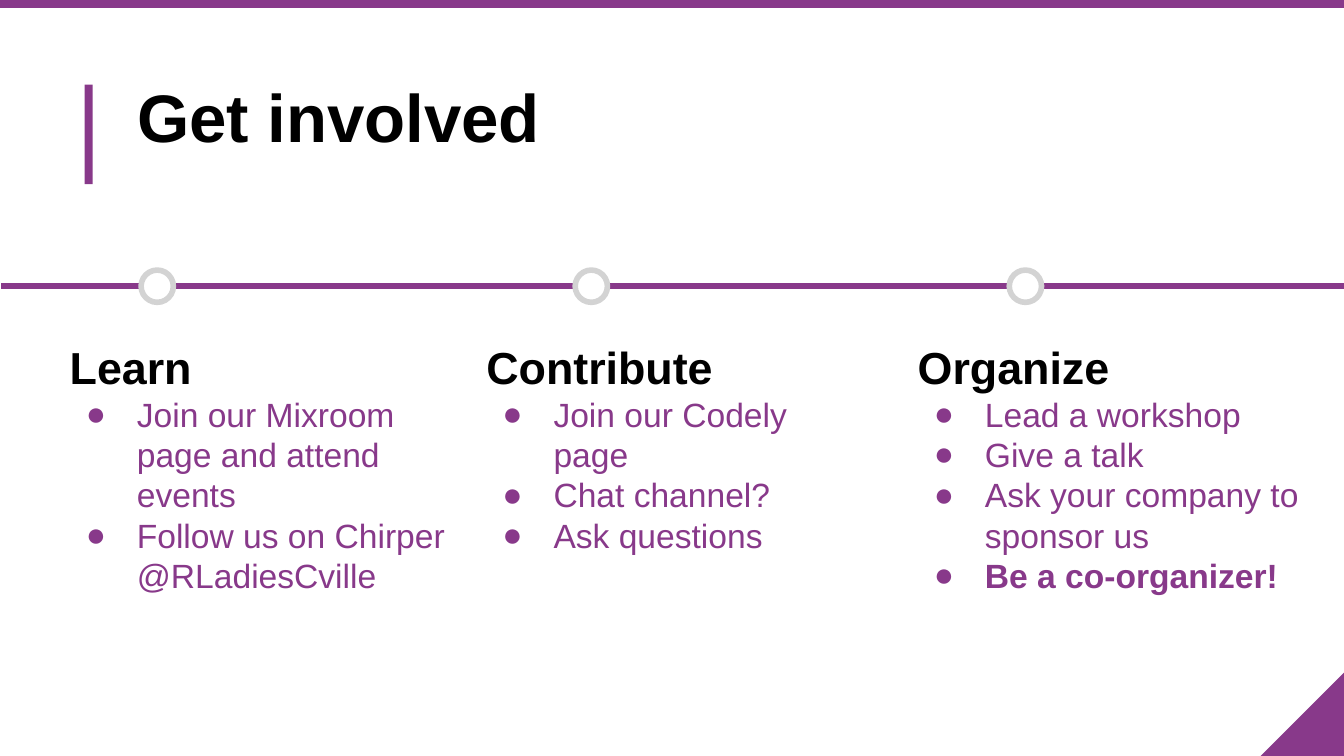
"""Build the "Get involved" slide: a three-stop timeline with a bullet list under each stop."""
from lxml import etree
from pptx import Presentation
from pptx.dml.color import RGBColor
from pptx.enum.shapes import MSO_CONNECTOR, MSO_SHAPE
from pptx.enum.text import MSO_ANCHOR, PP_ALIGN
from pptx.oxml.ns import qn
from pptx.util import Inches, Pt

RECTANGLE = MSO_SHAPE.RECTANGLE
OVAL = MSO_SHAPE.OVAL
RIGHT_TRIANGLE = MSO_SHAPE.RIGHT_TRIANGLE
STRAIGHT = MSO_CONNECTOR.STRAIGHT
TOP = MSO_ANCHOR.TOP
LEFT = PP_ALIGN.LEFT

PURPLE = RGBColor(0x88, 0x39, 0x8A)
BLACK = RGBColor(0, 0, 0)
WHITE = RGBColor(0xFF, 0xFF, 0xFF)
GRAY = RGBColor(0xD3, 0xD3, 0xD3)
FONT = "Arial"

TITLE = "Get involved"
COLUMNS = [
    (0.42, "Learn", [
        ("Join our Mixroom page and attend events", False),
        ("Follow us on Chirper @RLadiesCville", False),
    ]),
    (3.52, "Contribute", [
        ("Join our Codely page", False),
        ("Chat channel?", False),
        ("Ask questions", False),
    ]),
    (6.73, "Organize", [
        ("Lead a workshop", False),
        ("Give a talk", False),
        ("Ask your company to sponsor us", False),
        ("Be a co-organizer!", True),
    ]),
]
SLIDE_WIDTH = 10
SLIDE_HEIGHT = SLIDE_WIDTH * 9 / 16
LINE_Y = 2.13
STOP_SIZE, FIRST_STOP, STOP_STEP = 0.24, 1.05, 3.23
CORNER = 0.62


def add_filled_shape(slide, kind, left, top, width, height, fill, outline=None):
    shape = slide.shapes.add_shape(
        kind, Inches(left), Inches(top), Inches(width), Inches(height))
    shape.shadow.inherit = False
    shape.fill.solid()
    shape.fill.fore_color.rgb = fill
    if outline is None:
        shape.line.fill.background()
    else:
        shape.line.color.rgb = outline
        shape.line.width = Pt(3)
    return shape


def prepare_frame(frame):
    frame.word_wrap = True
    frame.vertical_anchor = TOP
    frame.margin_left = frame.margin_right = Inches(0.1)
    frame.margin_top = frame.margin_bottom = Inches(0.1)


def add_run(paragraph, text, size, color, bold):
    paragraph.alignment = LEFT
    run = paragraph.add_run()
    run.text = text
    run.font.name = FONT
    run.font.size = Pt(size)
    run.font.bold = bold
    run.font.color.rgb = color


def add_bullet(paragraph):
    properties = paragraph._p.get_or_add_pPr()
    properties.set("marL", str(Inches(0.5)))
    properties.set("indent", str(Inches(-0.38)))
    color = etree.SubElement(properties, qn("a:buClr"))
    etree.SubElement(color, qn("a:srgbClr"), val=str(PURPLE))
    etree.SubElement(properties, qn("a:buFont"), typeface=FONT)
    etree.SubElement(properties, qn("a:buChar"), char="●")


def add_title(slide):
    title = slide.shapes.title
    title.left, title.top = Inches(0.92), Inches(0.46)
    title.width, title.height = Inches(3.53), Inches(0.94)
    prepare_frame(title.text_frame)
    add_run(title.text_frame.paragraphs[0], TITLE, 36, BLACK, True)


def add_timeline(slide):
    line = slide.shapes.add_connector(
        STRAIGHT, Inches(0.01), Inches(LINE_Y), Inches(SLIDE_WIDTH), Inches(LINE_Y))
    line.line.color.rgb = PURPLE
    line.line.width = Pt(3)
    etree.SubElement(line._element.spPr, qn("a:effectLst"))
    for index in range(len(COLUMNS)):
        add_filled_shape(slide, OVAL, FIRST_STOP + index * STOP_STEP,
                         LINE_Y - STOP_SIZE / 2, STOP_SIZE, STOP_SIZE, WHITE, GRAY)


def add_column(slide, left, heading, items):
    box = slide.shapes.add_textbox(Inches(left), Inches(2.43), Inches(3.05), Inches(2.3))
    frame = box.text_frame
    prepare_frame(frame)
    add_run(frame.paragraphs[0], heading, 24, BLACK, True)
    for text, bold in items:
        paragraph = frame.add_paragraph()
        add_bullet(paragraph)
        add_run(paragraph, text, 18, PURPLE, bold)


def main():
    presentation = Presentation()
    presentation.slide_width = Inches(SLIDE_WIDTH)
    presentation.slide_height = Inches(SLIDE_HEIGHT)
    slide = presentation.slides.add_slide(presentation.slide_layouts[5])
    triangle = add_filled_shape(slide, RIGHT_TRIANGLE, SLIDE_WIDTH - CORNER,
                                SLIDE_HEIGHT - CORNER, CORNER, CORNER, PURPLE)
    triangle._element.spPr.get_or_add_xfrm().set("flipH", "1")
    add_filled_shape(slide, RECTANGLE, 0.63, 0.63, 0.06, 0.74, PURPLE)
    add_filled_shape(slide, RECTANGLE, 0, 0, SLIDE_WIDTH, 0.06, PURPLE)
    add_title(slide)
    add_timeline(slide)
    for left, heading, items in COLUMNS:
        add_column(slide, left, heading, items)
    presentation.save("out.pptx")


if __name__ == "__main__":
    main()
